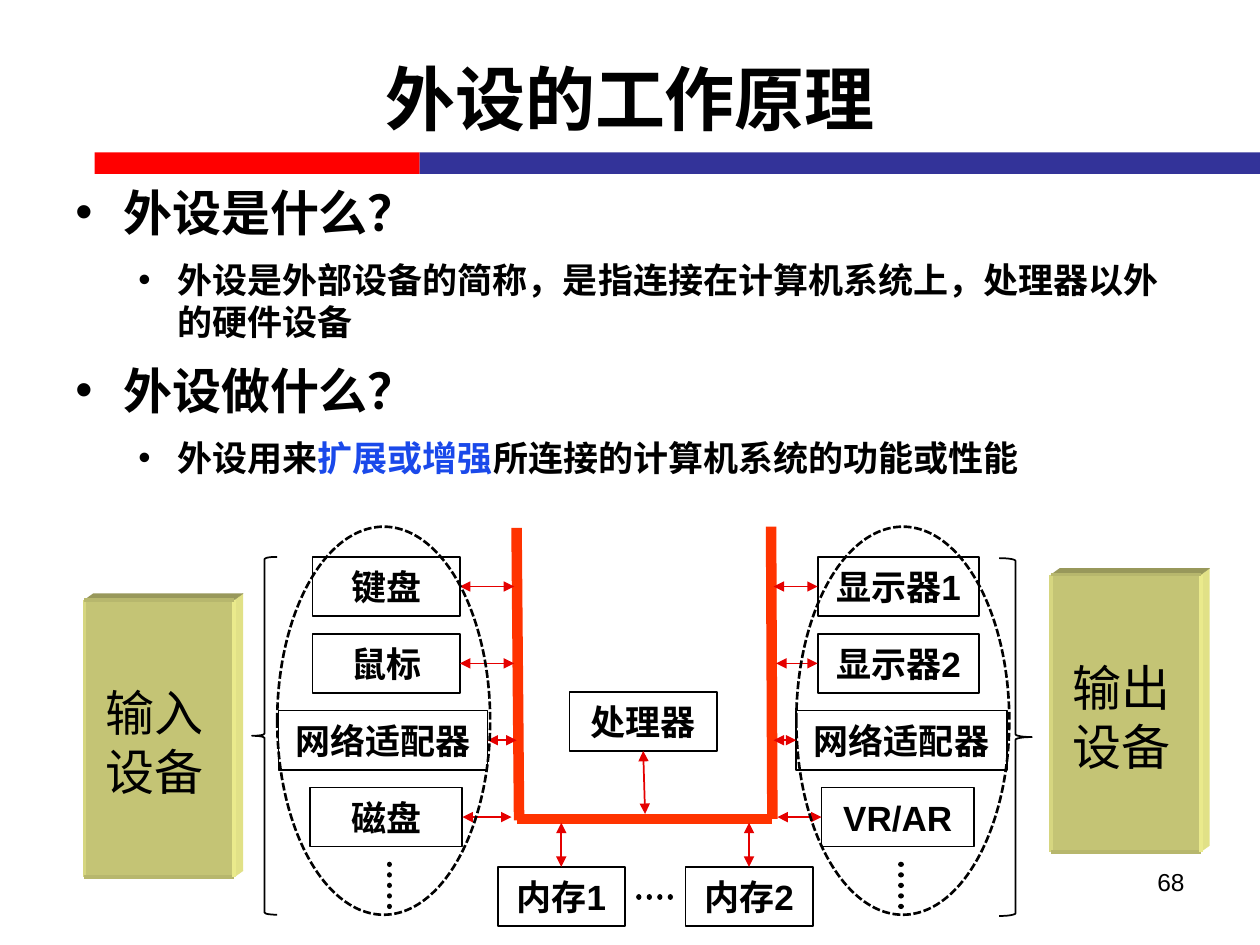
from dataclasses import dataclass

from lxml import etree
from pptx import Presentation
from pptx.dml.color import RGBColor
from pptx.enum.dml import MSO_LINE
from pptx.enum.shapes import MSO_CONNECTOR, MSO_SHAPE
from pptx.enum.text import MSO_ANCHOR, MSO_AUTO_SIZE, PP_ALIGN
from pptx.oxml.ns import qn
from pptx.util import Inches, Pt


@dataclass(frozen=True)
class Theme:
    latin: str = "Arial"
    chinese: str = "Noto Sans CJK SC"
    black: str = "000000"
    red: str = "FF0000"
    navy: str = "333399"
    accent: str = "1A49EA"
    bus: str = "FF3300"
    arrow: str = "E50000"
    slab_front: str = "C4C475"
    slab_side: str = "E1E187"
    slab_top: str = "98985B"
    slab_left_edge: str = "D6D680"
    slab_flat_edge: str = "B7B76D"
    slab_right_edge: str = "EAEA8C"
    title_size: int = 40
    heading_size: int = 28
    body_size: int = 20
    number_size: int = 14


THEME = Theme()
TOP, LEFT, BOTTOM, RIGHT = range(4)
ROW_TOP, ROW_STEP, BOX_HEIGHT = 4.42, 0.61, 0.47


def rgb(value):
    return RGBColor.from_string(value)


def inches(*values):
    return [Inches(value) for value in values]


def style_paragraph(paragraph, size, bold=False, align=None, latin=THEME.latin):
    paragraph.alignment = align
    font = paragraph.font
    font.size, font.bold, font.name = Pt(size), bold, latin
    font.color.rgb = rgb(THEME.black)
    defaults = paragraph._p.get_or_add_pPr().find(qn("a:defRPr"))
    etree.SubElement(defaults, qn("a:ea"), typeface=THEME.chinese)


def add_bullet(paragraph, level):
    margin, indent = ((0.38, -0.38), (0.81, -0.31))[level]
    paragraph.level = level
    properties = paragraph._p.get_or_add_pPr()
    properties.set("marL", str(Inches(margin)))
    properties.set("indent", str(Inches(indent)))
    etree.SubElement(properties, qn("a:buFont"), typeface=THEME.latin)
    etree.SubElement(properties, qn("a:buChar"), char="•")


def add_shape(shapes, kind, box, fill=None, line_width=None, dash=None):
    shape = shapes.add_shape(kind, *inches(*box))
    shape.shadow.inherit = False
    if fill:
        shape.fill.solid()
        shape.fill.fore_color.rgb = rgb(fill)
    else:
        shape.fill.background()
    if line_width:
        shape.line.color.rgb = rgb(THEME.black)
        shape.line.width = Pt(line_width)
        shape.line.dash_style = dash
    else:
        shape.line.fill.background()
    return shape


def add_line(shapes, start, end, color, width):
    line = shapes.add_connector(MSO_CONNECTOR.STRAIGHT, *inches(*start, *end))
    line.line.color.rgb = rgb(color)
    line.line.width = Pt(width)
    etree.SubElement(line._element.spPr, qn("a:effectLst"))
    return line


def add_dots(shapes, start, end):
    dots = add_line(shapes, start, end, THEME.black, 3)
    dots.line.dash_style = MSO_LINE.ROUND_DOT
    dots.line._get_or_add_ln().set("cap", "rnd")


def add_arrow(shapes, start, box, side):
    """Double-headed arrow from a point on the bus to a side of a box."""
    arrow = add_line(shapes, start, start, THEME.arrow, 1)
    arrow.end_connect(box, side)
    line = arrow.line._get_or_add_ln()
    for end in ("a:headEnd", "a:tailEnd"):
        etree.SubElement(line, qn(end), type="triangle")


def add_label_box(shapes, text, left, top, width):
    shape = add_shape(shapes, MSO_SHAPE.RECTANGLE, (left, top, width, BOX_HEIGHT), line_width=1)
    frame = shape.text_frame
    frame.word_wrap = False
    frame.vertical_anchor = MSO_ANCHOR.MIDDLE
    frame.text = text
    style_paragraph(frame.paragraphs[0], THEME.body_size, True, PP_ALIGN.CENTER)
    return shape


def add_face(shapes, points, color):
    first, *others = [inches(*point) for point in points]
    builder = shapes.build_freeform(*first)
    builder.add_line_segments(others, close=True)
    face = builder.convert_to_shape()
    face.shadow.inherit = False
    face.fill.solid()
    face.fill.fore_color.rgb = rgb(color)
    face.line.fill.background()


def add_slab(slide, lines, left, top):
    """Bevelled block with a two-line caption; left and top are of its front."""
    shapes = slide.shapes.add_group_shape().shapes
    width, height, depth, rise = 1.19, 2.2, 0.07, 0.05
    right, bottom = left + width, top + height
    back_right, back_top, back_bottom = right + depth, top - rise, bottom - rise
    add_face(shapes, [(right, bottom), (right, top), (back_right, back_top),
                      (back_right, back_bottom)], THEME.slab_side)
    add_face(shapes, [(right, top), (left, top), (left + depth, back_top),
                      (back_right, back_top)], THEME.slab_top)
    add_shape(shapes, MSO_SHAPE.RECTANGLE, (left, top, width, height), THEME.slab_front)
    edges = [
        ((right, bottom), (back_right, back_bottom), THEME.slab_side, 0.25),
        ((right, top), (back_right, back_top), THEME.slab_top, 0.25),
        ((left, top), (left, bottom), THEME.slab_left_edge, 2.13),
        ((left, bottom), (right, bottom), THEME.slab_flat_edge, 2.13),
        ((right, bottom), (right, top), THEME.slab_right_edge, 2.13),
        ((right, top), (left, top), THEME.slab_flat_edge, 2.13),
    ]
    for edge in edges:
        add_line(shapes, *edge)
    frame = shapes.add_textbox(*inches(left + 0.17, top + 0.66, 0.79, 0.94)).text_frame
    frame.margin_left = frame.margin_right = frame.margin_top = frame.margin_bottom = 0
    frame.text = "\n".join(lines)
    for paragraph in frame.paragraphs:
        style_paragraph(paragraph, THEME.heading_size, latin=THEME.chinese)


def add_title(slide, text):
    title = slide.shapes.title
    title.left, title.top, title.width, title.height = inches(0.5, 0.15, 9, 1.25)
    frame = title.text_frame
    frame.text = text
    frame.auto_size = MSO_AUTO_SIZE.NONE
    frame.vertical_anchor = MSO_ANCHOR.MIDDLE
    style_paragraph(frame.paragraphs[0], THEME.title_size, True, PP_ALIGN.CENTER)
    add_shape(slide.shapes, MSO_SHAPE.RECTANGLE, (0.75, 1.21, 2.58, 0.17), THEME.red)
    add_shape(slide.shapes, MSO_SHAPE.RECTANGLE, (3.33, 1.21, 6.67, 0.17), THEME.navy)


def add_outline(slide, items):
    """Bulleted text from (level, runs); every second run is accented."""
    frame = slide.shapes.add_textbox(*inches(0.5, 1.4, 9, 2.6)).text_frame
    frame.word_wrap = True
    for index, (level, texts) in enumerate(items):
        paragraph = frame.add_paragraph() if index else frame.paragraphs[0]
        paragraph.space_before = Pt(10 if index else 0)
        add_bullet(paragraph, level)
        style_paragraph(paragraph, (THEME.heading_size, THEME.body_size)[level], True)
        for position, text in enumerate(texts):
            run = paragraph.add_run()
            run.text = text
            if position % 2:
                run.font.color.rgb = rgb(THEME.accent)


def add_page_number(slide, text):
    frame = slide.shapes.add_textbox(*inches(7.17, 6.83, 2.33, 0.52)).text_frame
    frame.word_wrap = True
    frame.text = text
    style_paragraph(frame.paragraphs[0], THEME.number_size, align=PP_ALIGN.RIGHT)


def add_diagram(slide):
    shapes = slide.shapes
    # label, left, width, x of the arrow's end at the bus
    inputs = [("键盘", 2.48, 1.17, 4.08), ("鼠标", 2.48, 1.17, 4.08),
              ("网络适配器", 2.21, 1.66, 4.1), ("磁盘", 2.46, 1.21, 4.06)]
    outputs = [("显示器1", 6.49, 1.28, 6.14), ("显示器2", 6.49, 1.28, 6.16),
               ("网络适配器", 6.32, 1.67, 6.14), ("VR/AR", 6.52, 1.21, 6.17)]
    links = []
    for devices, side in ((inputs, RIGHT), (outputs, LEFT)):
        for row, (text, left, width, bus_x) in enumerate(devices):
            top = ROW_TOP + row * ROW_STEP
            box = add_label_box(shapes, text, left, top, width)
            links.append(((bus_x, top + BOX_HEIGHT / 2), box, side))
    processor = add_label_box(shapes, "处理器", 4.52, 5.49, 1.17)
    links.append(((5.12, 6.46), processor, BOTTOM))
    for text, left in (("内存1", 3.95), ("内存2", 5.44)):
        box = add_label_box(shapes, text, left, 6.88, 1.01)
        links.append(((left + 0.505, 6.53), box, TOP))

    for start, end in (((3.09, 6.86), (3.09, 7.26)), ((7.15, 6.86), (7.15, 7.26)),
                       ((5.07, 7.12), (5.33, 7.12))):
        add_dots(shapes, start, end)
    add_shape(shapes, MSO_SHAPE.LEFT_BRACE, (2, 4.42, 0.2, 2.84), line_width=1)
    add_shape(shapes, MSO_SHAPE.RIGHT_BRACE, (7.93, 4.43, 0.26, 2.84), line_width=1)
    add_slab(slide, ("输入", "设备"), 0.67, 4.76)
    add_slab(slide, ("输出", "设备"), 8.34, 4.56)

    for start, end in (((4.1, 4.19), (4.12, 6.51)), ((6.12, 4.18), (6.13, 6.5)),
                       ((4.1, 6.5), (6.13, 6.5))):
        add_line(shapes, start, end, THEME.bus, 6)
    for link in links:
        add_arrow(shapes, *link)
    for left in (2.2, 6.32):
        add_shape(shapes, MSO_SHAPE.OVAL, (left, 4.18, 1.69, 3.08),
                  line_width=1.5, dash=MSO_LINE.SQUARE_DOT)


def main():
    presentation = Presentation()
    presentation.slide_width, presentation.slide_height = inches(10, 7.5)
    slide = presentation.slides.add_slide(presentation.slide_layouts[5])
    add_title(slide, "外设的工作原理")
    add_outline(slide, [
        (0, ["外设是什么？"]),
        (1, ["外设是外部设备的简称，是指连接在计算机系统上，处理器以外的硬件设备"]),
        (0, ["外设做什么？"]),
        (1, ["外设用来", "扩展或增强", "所连接的计算机系统的功能或性能"]),
    ])
    add_page_number(slide, "68")
    add_diagram(slide)
    presentation.save("out.pptx")


if __name__ == "__main__":
    main()
